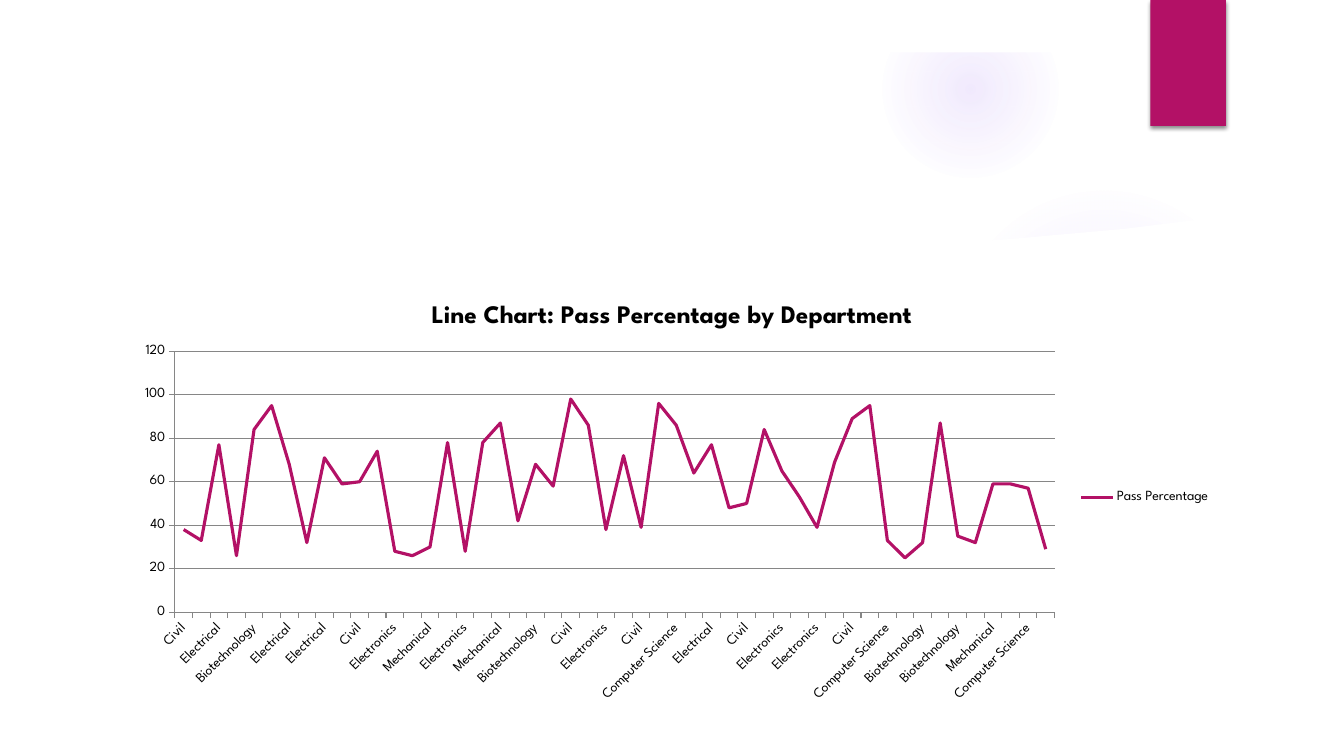
import pptx
import pptx.util
import pptx.chart.data
import pptx.dml.color
import pptx.enum.chart
import pptx.enum.shapes
import pptx.oxml
import pptx.oxml.ns

Inches = pptx.util.Inches
Pt = pptx.util.Pt
Kind = pptx.enum.shapes.MSO_SHAPE
Enum = pptx.enum.chart
FONT = "League Spartan"
HEX = {"glow": "9B6BF2", "page": "FFFFFF", "pink": "B31166", "text": "000000", "grid": "868686"}


def tint(part, name):
    part.solid()
    part.fore_color.rgb = pptx.dml.color.RGBColor.from_string(HEX[name])


def style(font, **more):
    looks = {"name": FONT, "size": Pt(10), "bold": False, **more}
    for key, value in looks.items():
        setattr(font, key, value)
    tint(font.fill, "text")


deck = pptx.Presentation()
deck.slide_width = Inches(13.33)
deck.slide_height = Inches(7.5)
slide = deck.slides.add_slide(deck.slide_layouts[6])
shapes = slide.shapes
space = pptx.oxml.ns.nsdecls("a")

glows = [
    (9.41, 1.83, 3.08, [(0, 7), (36, 6), (69, 0)]),
    (8.75, 0.01, 1.75, [(0, 14), (36, 7), (73, 0)]),
]
for left, top, size, stops in glows:
    glow = shapes.add_shape(Kind.OVAL, Inches(left), Inches(top), Inches(size), Inches(size))
    glow.shadow.inherit = False
    glow.line.fill.background()
    marks = "".join(
        f'<a:gs pos="{spot * 1000}"><a:srgbClr val="{HEX["glow"]}">'
        f'<a:alpha val="{alpha * 1000}"/></a:srgbClr></a:gs>'
        for spot, alpha in stops
    )
    fade = pptx.oxml.parse_xml(
        f'<a:gradFill {space}><a:gsLst>{marks}</a:gsLst><a:path path="circle">'
        '<a:fillToRect l="50000" t="50000" r="50000" b="50000"/></a:path></a:gradFill>'
    )
    glow.fill.background()
    blank = glow._element.spPr.find(pptx.oxml.ns.qn("a:noFill"))
    blank.getparent().replace(blank, fade)

wave = [
    (12.84, 7), (12.84, 2.04), (12.28, 2.13), (11.72, 2.2), (11.16, 2.27), (10.6, 2.32),
    (10.04, 2.37), (9.49, 2.41), (8.94, 2.44), (8.4, 2.46), (7.34, 2.48), (6.32, 2.47),
    (5.35, 2.45), (4.44, 2.41), (3.6, 2.36), (2.83, 2.3), (2.16, 2.24), (1.35, 2.15), (0.5, 2.04),
]
path = shapes.build_freeform(Inches(0.5), Inches(7), scale=1.0)
path.add_line_segments([(Inches(x), Inches(y)) for x, y in wave], close=True)
sheet = path.convert_to_shape()
edge = shapes.add_shape(Kind.RECTANGLE, 0, 0, Inches(13.33), Inches(0.52))
flag = shapes.add_shape(Kind.RECTANGLE, Inches(11.41), 0, Inches(0.75), Inches(1.25))
for shape, name in [(sheet, "page"), (edge, "page"), (flag, "pink")]:
    shape.shadow.inherit = False
    shape.line.fill.background()
    tint(shape.fill, name)
shade = pptx.oxml.parse_xml(
    f'<a:outerShdw {space} blurRad="{Pt(3)}" dist="{Pt(2)}" dir="5400000" rotWithShape="0">'
    f'<a:srgbClr val="{HEX["text"]}"><a:alpha val="45000"/></a:srgbClr></a:outerShdw>'
)
flag._element.spPr.find(pptx.oxml.ns.qn("a:effectLst")).append(shade)

names = {
    "C": "Civil", "B": "Biotechnology", "E": "Electrical",
    "M": "Mechanical", "N": "Electronics", "S": "Computer Science",
}
codes = "CBEBBMEEEBCENBMCNNMCBSCMNBCSSEEMCCNNNECCSEBEBSMCSC"
rates = [
    38, 33, 77, 26, 84, 95, 68, 32, 71, 59, 60, 74, 28, 26, 30, 78, 28, 78, 87, 42, 68, 58, 98, 86, 38,
    72, 39, 96, 86, 64, 77, 48, 50, 84, 65, 53, 39, 69, 89, 95, 33, 25, 32, 87, 35, 32, 59, 59, 57, 29,
]
data = pptx.chart.data.CategoryChartData()
data.categories = [names[code] for code in codes]
data.add_series("Pass Percentage", rates)
frame = shapes.add_chart(
    Enum.XL_CHART_TYPE.LINE, Inches(1.22), Inches(2.82), Inches(10.89), Inches(4.23), data
)
chart = frame.chart
style(chart.font)
chart.has_title = True
title = chart.chart_title
title.include_in_layout = False
title.text_frame.text = "Line Chart: Pass Percentage by Department"
style(title.text_frame.paragraphs[0].runs[0].font, size=Pt(18), bold=True)

chart.has_legend = True
legend = chart.legend
legend.position = Enum.XL_LEGEND_POSITION.RIGHT
legend.include_in_layout = False
style(legend.font)

rows = chart.value_axis
rows.has_major_gridlines = True
rows.minimum_scale = 0
rows.maximum_scale = 120
rows.major_unit = 20
for axis in (chart.category_axis, rows):
    axis.major_tick_mark = Enum.XL_TICK_MARK.OUTSIDE
    style(axis.tick_labels.font)
for line in (chart.category_axis.format.line, rows.format.line, rows.major_gridlines.format.line):
    line.width = Pt(0.75)
    tint(line.fill, "grid")

plot = chart.plots[0]
plot.vary_by_categories = False
trend = plot.series[0]
trend.smooth = False
trend.marker.style = Enum.XL_MARKER_STYLE.NONE
trend.format.line.width = Pt(2.25)
tint(trend.format.line.fill, "pink")

deck.save("out.pptx")
